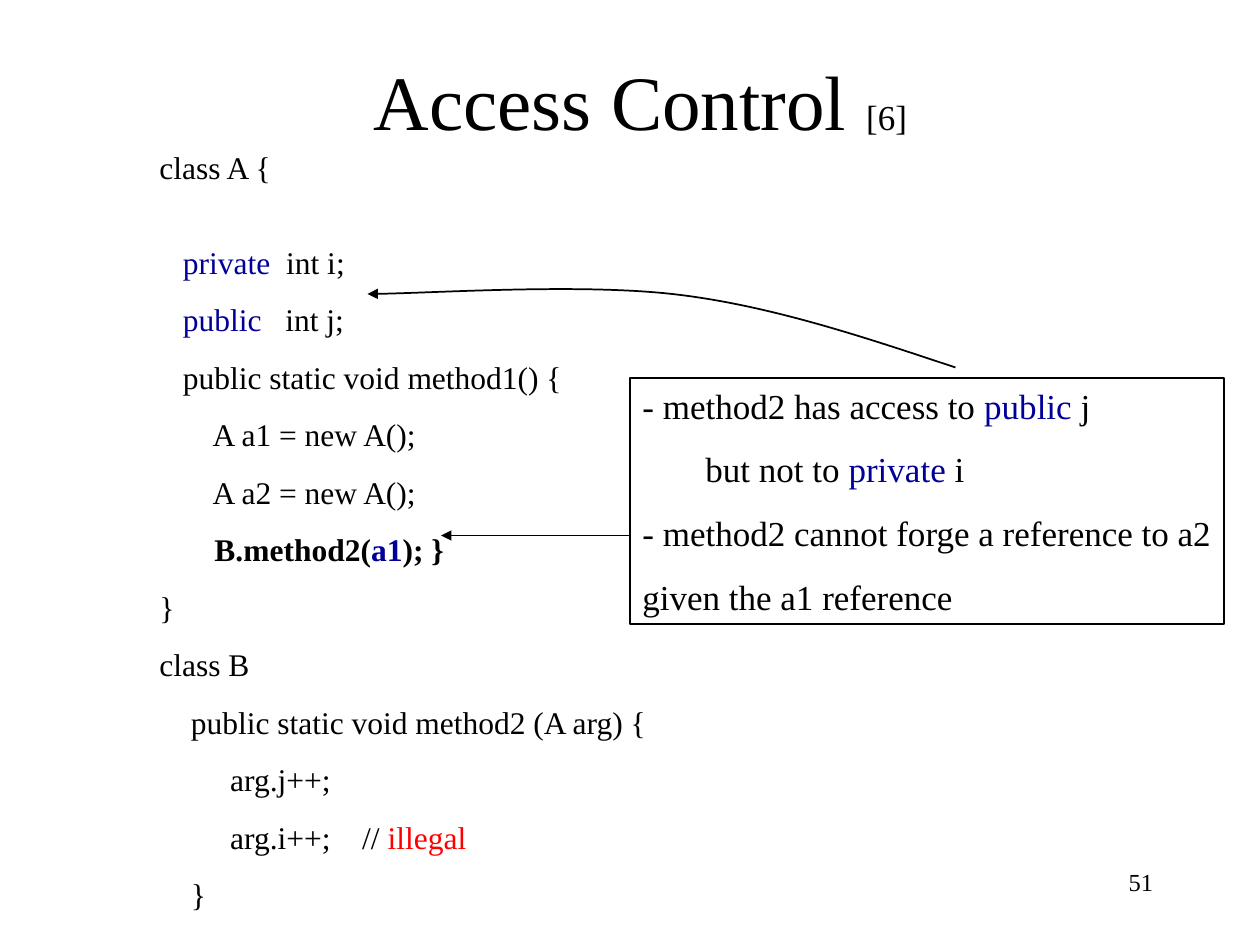
from lxml.etree import SubElement
from pptx import Presentation
from pptx.dml.color import RGBColor
from pptx.enum.shapes import MSO_CONNECTOR, MSO_SHAPE
from pptx.enum.text import MSO_ANCHOR, PP_ALIGN
from pptx.oxml.ns import qn
from pptx.util import Inches, Pt

BLACK = RGBColor(0x00, 0x00, 0x00)
NAVY = RGBColor(0x00, 0x00, 0x99)
RED = RGBColor(0xFF, 0x00, 0x00)
FONT = "Times New Roman"
CELL = Inches(1) // 12  # the slide is 120 columns by 90 rows


def write(frame, lines, size=18, align=PP_ALIGN.LEFT, anchor=MSO_ANCHOR.MIDDLE,
          wrap=True, spaced=False, gaps=()):
    """Each line is a list of (text, format) runs; gaps lists lines set one line lower."""
    frame.word_wrap = wrap
    frame.vertical_anchor = anchor
    for index, runs in enumerate(lines):
        paragraph = frame.add_paragraph() if index else frame.paragraphs[0]
        paragraph.alignment = align
        if spaced:
            line_height = 1.2 * size
            paragraph.line_spacing = Pt(line_height)
            if index:
                extra = line_height if index in gaps else 0
                paragraph.space_before = Pt(0.625 * size + extra)
        for text, style in runs:
            run = paragraph.add_run()
            run.text = text
            run.font.name = FONT
            run.font.size = Pt(style.get("size", size))
            run.font.bold = style.get("bold", False)
            run.font.color.rgb = style.get("color", BLACK)


def plain(text):
    return [(text, {})]


def marked(before, word, after="", color=NAVY, bold=False):
    return [(before, {"bold": bold}), (word, {"color": color, "bold": bold}),
            (after, {"bold": bold})]


class Board:
    """Current slide with its black line style, measured in grid cells."""

    def __init__(self, slide, line_width=1):
        self.shapes = slide.shapes
        self.line_width = Pt(line_width)

    def cells(self, *values):
        return [round(value * CELL) for value in values]

    def outline(self, shape, arrow=False):
        shape.line.color.rgb = BLACK
        shape.line.width = self.line_width
        if arrow:
            SubElement(shape.line._get_or_add_ln(), qn("a:tailEnd"), type="triangle")

    def text(self, area, lines, **style):
        write(self.shapes.add_textbox(*self.cells(*area)).text_frame, lines, **style)

    def box(self, area, lines, **style):
        box = self.shapes.add_shape(MSO_SHAPE.RECTANGLE, *self.cells(*area))
        box.shadow.inherit = False
        box.fill.background()
        self.outline(box)
        write(box.text_frame, lines, **style)

    def arrow(self, start, end):
        arrow = self.shapes.add_connector(MSO_CONNECTOR.STRAIGHT, *self.cells(*start, *end))
        SubElement(arrow._element.spPr, qn("a:effectLst"))
        self.outline(arrow, arrow=True)

    def curved_arrow(self, start, points):
        """Points come in threes: two handles and an end for each curve."""
        builder = self.shapes.build_freeform(*start, scale=CELL)
        builder.add_line_segments(points, close=False)
        curve = builder.convert_to_shape()
        segments = list(curve._element.iter(qn("a:lnTo")))
        for first in range(0, len(segments), 3):
            bezier = SubElement(segments[first].getparent(), qn("a:cubicBezTo"))
            for segment in segments[first:first + 3]:
                bezier.append(segment[0])
                segment.getparent().remove(segment)
        curve.shadow.inherit = False
        curve.fill.background()
        self.outline(curve, arrow=True)


def main():
    deck = Presentation()
    deck.slide_width, deck.slide_height = 120 * CELL, 90 * CELL
    board = Board(deck.slides.add_slide(deck.slide_layouts[6]))

    # Title
    board.text((10, 4, 102, 11), [[("Access Control ", {}), ("[6]", {"size": 20})]],
               size=44, align=PP_ALIGN.CENTER)

    # Code of the two classes
    code = [
        plain("class A {"),
        marked("   ", "private", "  int i;"),
        marked("   ", "public", "   int j;"),
        plain("   public static void method1() {"),
        plain("       A a1 = new A();"),
        plain("       A a2 = new A();"),
        plain("       ") + marked("B.method2(", "a1", "); }", bold=True),
        plain("}"),
        plain("class B"),
        plain("    public static void method2 (A arg) {"),
        plain("         arg.j++;"),
        marked("         arg.i++;    // ", "illegal", color=RED),
        plain("    }"),
    ]
    board.text((14, 13.5, 51, 74), code, spaced=True, gaps=(1,))

    # Access rules
    rules = [
        marked("- method2 has access to ", "public", " j"),
        marked("\tbut not to ", "private", " i"),
        plain("- method2 cannot forge a reference to a2"),
        plain("given the a1 reference"),
    ]
    board.box((60, 36, 56.6, 23.4), rules, size=20, wrap=False, spaced=True)

    # Arrows from the rules to the code
    board.curved_arrow((91, 35), [(82.2, 32.2), (73.3, 29.4), (64, 28.2),
                                  (54.6, 27), (39.8, 27.7), (35, 27.7)])
    board.arrow((60, 51), (42, 51))

    # Slide number
    board.text((86, 82, 25, 6), [plain("51")], size=14, align=PP_ALIGN.RIGHT,
               anchor=MSO_ANCHOR.TOP)

    deck.save("out.pptx")


if __name__ == "__main__":
    main()
